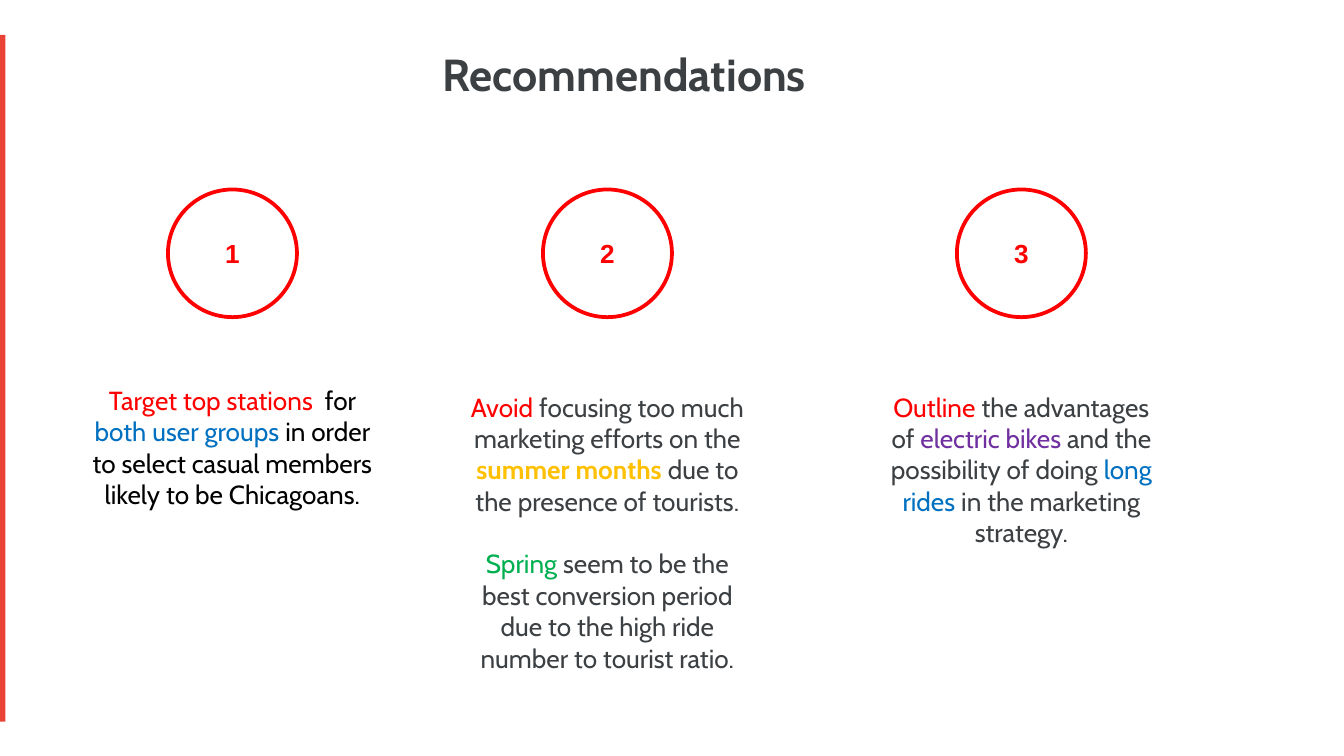
"""Build the Recommendations slide: three numbered circles with advice below."""
from dataclasses import dataclass

from pptx import Presentation
from pptx.dml.color import RGBColor
from pptx.enum.shapes import MSO_SHAPE as Shape
from pptx.enum.text import MSO_ANCHOR as Anchor, PP_ALIGN as Align
from pptx.util import Inches, Pt

CELL = Inches(0.1)
COLUMNS, ROWS = 100, 56.25
COLORS = {
    "bar": "EA4335",
    "dark": "3C4043",
    "black": "000000",
    "red": "FF0000",
    "blue": "0070C0",
    "gold": "FFC000",
    "green": "00B050",
    "purple": "7030A0",
}


@dataclass(frozen=True)
class Area:
    column: float
    row: float
    width: float
    height: float

    def lengths(self) -> list[int]:
        return [round(n * CELL) for n in (self.column, self.row, self.width, self.height)]


@dataclass(frozen=True)
class Span:
    text: str
    color: str
    bold: bool = False
    size: float = 14
    font: str = "Cabin"


@dataclass(frozen=True)
class Advice:
    center: float
    text_row: float
    text_height: float
    paragraphs: list[list[Span]]


ADVICE = [
    Advice(17.3, 28.1, 12.8, [[
        Span("Target top stations", "red"),
        Span("  for ", "black"),
        Span("both user groups ", "blue"),
        Span("in order to select casual members likely to be Chicagoans.", "black"),
    ]]),
    Advice(45.2, 28.6, 24.6, [[
        Span("Avoid ", "red"),
        Span("focusing too much marketing efforts on the ", "dark"),
        Span("summer months ", "gold", bold=True),
        Span("due to the presence of tourists.", "dark"),
    ], [
        Span("Spring ", "green"),
        Span("seem to be the best conversion period due to the high ride "
             "number to tourist ratio.", "dark"),
    ]]),
    Advice(76, 28.6, 12.8, [[
        Span("Outline ", "red"),
        Span("the advantages of ", "dark"),
        Span("electric bikes", "purple"),
        Span(" and the possibility of doing ", "dark"),
        Span("long rides ", "blue"),
        Span("in the marketing strategy.", "dark"),
    ]]),
]


def rgb(name: str) -> RGBColor:
    return RGBColor.from_string(COLORS[name])


def write_paragraph(para, spans: list[Span]) -> None:
    para.alignment = Align.CENTER
    for span in spans:
        run = para.add_run()
        run.text = span.text
        run.font.name = span.font
        run.font.size = Pt(span.size)
        run.font.bold = span.bold
        run.font.color.rgb = rgb(span.color)


def add_text(page, area: Area, paragraphs: list[list[Span]]):
    frame = page.shapes.add_textbox(*area.lengths()).text_frame
    frame.word_wrap = True
    for index, spans in enumerate(paragraphs):
        para = frame.add_paragraph() if index else frame.paragraphs[0]
        if index:
            para.space_before = Pt(16.8)
        write_paragraph(para, spans)
    return frame


def add_bar(page, area: Area) -> None:
    bar = page.shapes.add_shape(Shape.RECTANGLE, *area.lengths())
    bar.shadow.inherit = False
    bar.fill.solid()
    bar.fill.fore_color.rgb = rgb("bar")
    bar.line.fill.background()


def add_title(page, area: Area, text: str) -> None:
    frame = add_text(page, area, [[Span(text, "dark", bold=True, size=24)]])
    frame.margin_top = frame.margin_bottom = CELL
    frame.paragraphs[0].line_spacing = 0.9


def add_circle(page, area: Area, number: int) -> None:
    circle = page.shapes.add_shape(Shape.OVAL, *area.lengths())
    circle.shadow.inherit = False
    circle.fill.background()
    circle.line.color.rgb = rgb("red")
    circle.line.width = Pt(2)
    circle.text_frame.vertical_anchor = Anchor.MIDDLE
    label = Span(str(number), "red", bold=True, font="Arial")
    write_paragraph(circle.text_frame.paragraphs[0], [label])


def add_advice(page, number: int, advice: Advice) -> None:
    circle_width, text_width = 9.6, 23
    add_circle(page, Area(advice.center - circle_width / 2, 14.1, circle_width, 9.5), number)
    area = Area(advice.center - text_width / 2, advice.text_row, text_width, advice.text_height)
    add_text(page, area, advice.paragraphs)


def main() -> None:
    deck = Presentation()
    deck.slide_width = round(COLUMNS * CELL)
    deck.slide_height = round(ROWS * CELL)
    page = deck.slides.add_slide(deck.slide_layouts[6])
    add_bar(page, Area(0, 2.6, 0.4, 51.1))
    add_title(page, Area(3.8, 2.9, 85.3, 4.5), "Recommendations")
    for number, advice in enumerate(ADVICE, start=1):
        add_advice(page, number, advice)
    deck.save("out.pptx")


if __name__ == "__main__":
    main()
